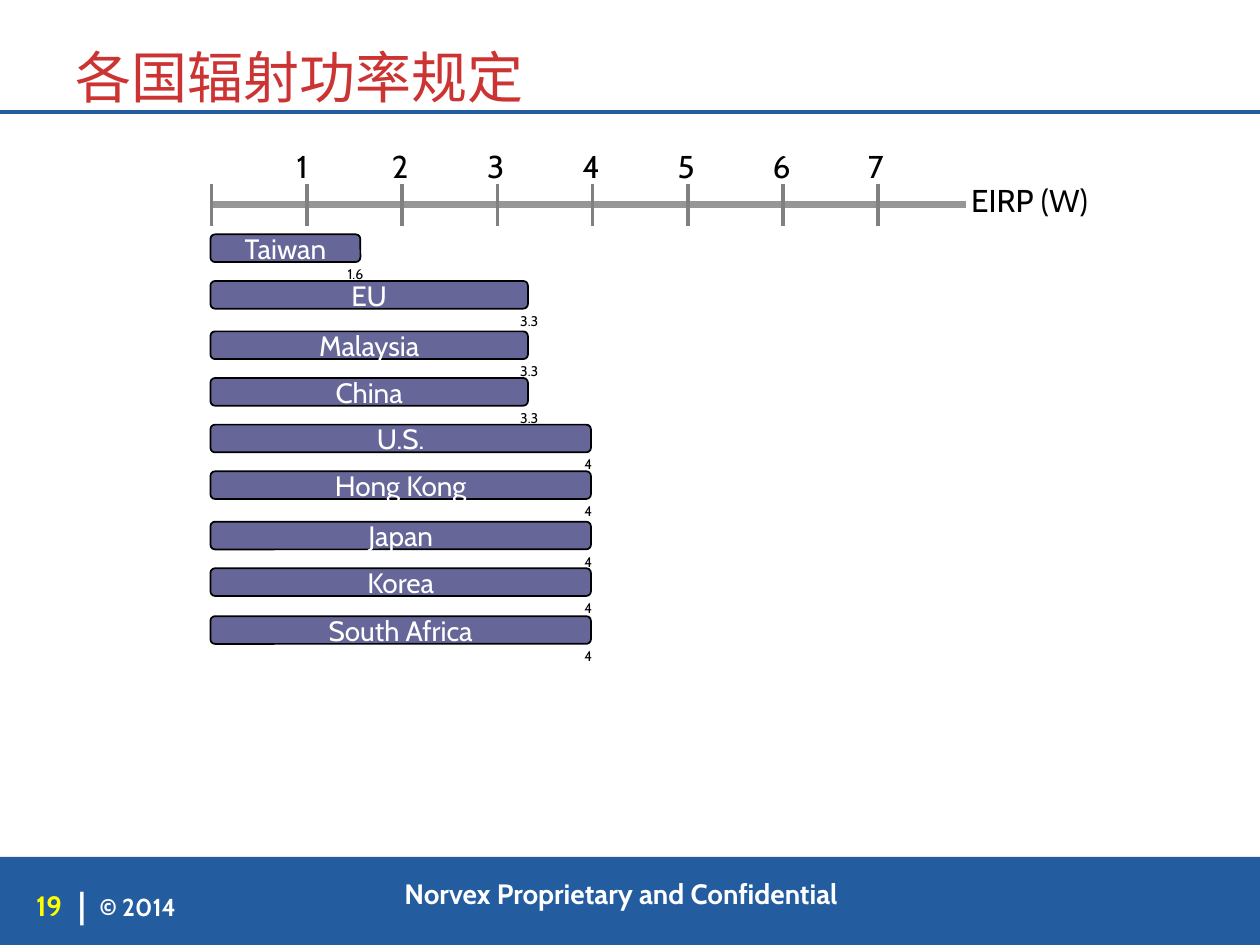
import pptx
import pptx.dml.color
import pptx.enum.shapes
import pptx.enum.text
import pptx.oxml.ns
import pptx.util
from lxml import etree

Inches = pptx.util.Inches
Pt = pptx.util.Pt
RGBColor = pptx.dml.color.RGBColor
Align = pptx.enum.text.PP_ALIGN
Anchor = pptx.enum.text.MSO_ANCHOR
Shapes = pptx.enum.shapes.MSO_SHAPE

BLUE = RGBColor(0x23, 0x5D, 0x9F)
RED = RGBColor(0xCC, 0x33, 0x33)
PURPLE = RGBColor(0x66, 0x66, 0x99)
AXIS_GRAY = RGBColor(0x96, 0x96, 0x96)
TICK_GRAY = RGBColor(0x80, 0x80, 0x80)
YELLOW = RGBColor(0xFF, 0xFF, 0x00)
WHITE = RGBColor(0xFF, 0xFF, 0xFF)
BLACK = RGBColor(0, 0, 0)

AXIS_LEFT = 1.67
FIRST_TICK, LAST_TICK = 1.68, 6.97
BAR_HEIGHT = 0.22
BAR_WIDTHS = {"1.6": 1.19, "3.3": 2.52, "4": 3.02}
VALUE_LEFTS = {"1.6": 2.66, "3.3": 4.03, "4": 4.54}
REGIONS = [
    ("Taiwan", "1.6", 1.86),
    ("EU", "3.3", 2.23),
    ("Malaysia", "3.3", 2.63),
    ("China", "3.3", 3.0),
    ("U.S.", "4", 3.37),
    ("Hong Kong", "4", 3.74),
    ("Japan", "4", 4.14),
    ("Korea", "4", 4.51),
    ("South Africa", "4", 4.89),
]


class SlideBuilder:
    def __init__(self, slide, font_name):
        self.slide = slide
        self.font_name = font_name

    def set_text(self, shape, text, size, color, bold=False, align=Align.LEFT):
        paragraph = shape.text_frame.paragraphs[0]
        paragraph.text = text
        paragraph.alignment = align
        font = paragraph.font
        font.name = self.font_name
        font.size = Pt(size)
        font.bold = bold
        font.color.rgb = color
        return paragraph

    def title(self, text):
        title = self.slide.shapes.title
        title.left, title.top = Inches(0.5), Inches(0)
        title.width, title.height = Inches(9.5), Inches(0.92)
        title.text_frame.vertical_anchor = Anchor.BOTTOM
        title.text_frame.auto_size = pptx.enum.text.MSO_AUTO_SIZE.NONE
        self.set_text(title, text, 32, RED).line_spacing = 0.85

    def label(self, text, left, top, width, height, size):
        """Add a black label that stays on one line."""
        box = self.slide.shapes.add_textbox(
            Inches(left), Inches(top), Inches(width), Inches(height))
        box.text_frame.word_wrap = False
        self.set_text(box, text, size, BLACK)

    def footer_text(self, text, left, top, width, height, size,
                    color=WHITE, align=Align.CENTER, anchor=Anchor.MIDDLE):
        box = self.slide.shapes.add_textbox(
            Inches(left), Inches(top), Inches(width), Inches(height))
        frame = box.text_frame
        frame.word_wrap = True
        frame.vertical_anchor = anchor
        frame.margin_left = frame.margin_right = 0
        frame.margin_top = frame.margin_bottom = 0
        self.set_text(box, text, size, color, True, align)

    def block(self, kind, left, top, width, height, fill):
        shape = self.slide.shapes.add_shape(
            kind, Inches(left), Inches(top), Inches(width), Inches(height))
        shape.shadow.inherit = False
        shape.fill.solid()
        shape.fill.fore_color.rgb = fill
        shape.line.fill.background()
        return shape

    def bar(self, text, top, width):
        bar = self.block(Shapes.ROUNDED_RECTANGLE, AXIS_LEFT, top, width,
                         BAR_HEIGHT, PURPLE)
        bar.line.color.rgb = BLACK
        bar.line.width = Pt(1)
        bar.text_frame.word_wrap = False
        bar.text_frame.vertical_anchor = Anchor.MIDDLE
        self.set_text(bar, text, 16, WHITE, align=Align.CENTER)

    def line(self, x1, y1, x2, y2, color, width):
        line = self.slide.shapes.add_connector(
            pptx.enum.shapes.MSO_CONNECTOR.STRAIGHT,
            Inches(x1), Inches(y1), Inches(x2), Inches(y2))
        line.line.color.rgb = color
        line.line.width = Pt(width)
        etree.SubElement(line._element.spPr, pptx.oxml.ns.qn("a:effectLst"))


def main():
    presentation = pptx.Presentation()
    presentation.slide_width = Inches(10)
    presentation.slide_height = Inches(7.5)
    slide = presentation.slides.add_slide(presentation.slide_layouts[5])
    builder = SlideBuilder(slide, "Cabin")

    builder.block(Shapes.RECTANGLE, 0, 6.8, 10, 0.7, BLUE)
    builder.footer_text("Norvex Proprietary and Confidential",
                        2.84, 6.95, 4.18, 0.27, 16, anchor=Anchor.BOTTOM)
    builder.footer_text("© 2014", 0.79, 7.07, 1.67, 0.25, 14, align=Align.LEFT)
    builder.footer_text("19", 0.14, 7.06, 0.5, 0.25, 16, YELLOW)
    builder.footer_text("|", 0.52, 7.06, 0.26, 0.23, 20)

    builder.title("各国辐射功率规定")
    builder.line(0, 0.89, 10, 0.89, BLUE, 2.25)

    builder.line(AXIS_LEFT, 1.62, 7.67, 1.62, AXIS_GRAY, 4)
    for watts in range(8):
        x = FIRST_TICK + watts * (LAST_TICK - FIRST_TICK) / 7
        builder.line(x, 1.46, x, 1.79, TICK_GRAY, 2)
        if watts:
            builder.label(str(watts), x - 0.18, 1.12, 0.32, 0.39, 18)
    builder.label("EIRP (W)", 7.61, 1.39, 1.21, 0.39, 18)

    for region, value, top in REGIONS:
        builder.bar(region, top, BAR_WIDTHS[value])
        builder.label(value, VALUE_LEFTS[value], top + 0.2, 0.35, 0.23, 8)

    presentation.save("out.pptx")


if __name__ == "__main__":
    main()
